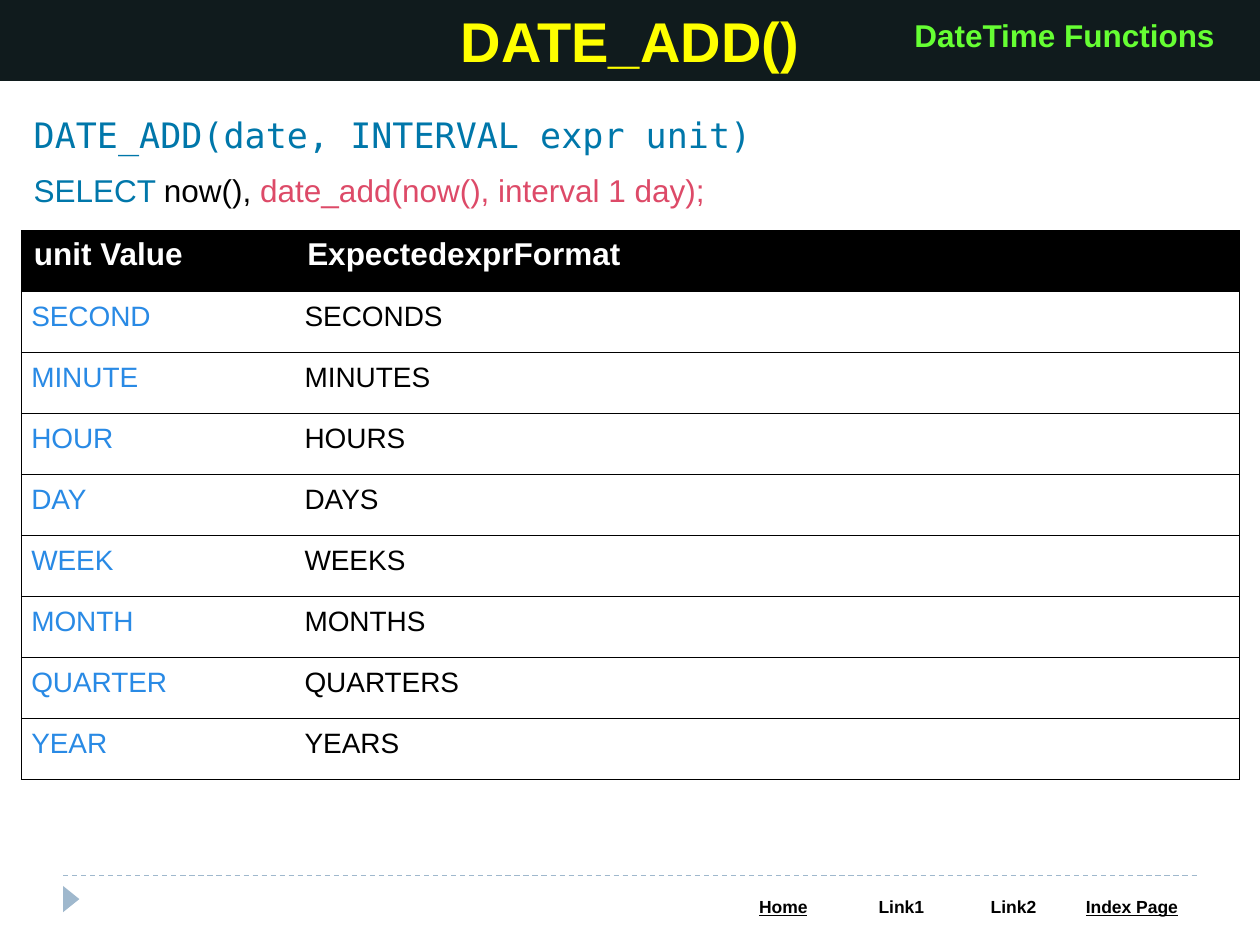
from lxml import etree
from pptx import Presentation
from pptx import util as u
from pptx.dml.color import RGBColor
from pptx.enum import dml, shapes, text
from pptx.oxml.ns import qn

BLACK = RGBColor(0x00, 0x00, 0x00)
WHITE = RGBColor(0xFF, 0xFF, 0xFF)
BANNER = RGBColor(0x10, 0x1B, 0x1D)
YELLOW = RGBColor(0xFF, 0xFF, 0x00)
GREEN = RGBColor(0x66, 0xFF, 0x33)
KEYWORD = RGBColor(0x00, 0x77, 0xAA)
CALL = RGBColor(0xDD, 0x4A, 0x68)
UNIT = RGBColor(0x29, 0x8A, 0xE5)
STEEL = RGBColor(0x9F, 0xB8, 0xCD)

# Content
TITLE = "DATE_ADD()"
TOPIC = "DateTime Functions"
SYNTAX = "DATE_ADD(date, INTERVAL expr unit)"
EXAMPLE = [  # text, size, colour
    ("SELECT", 18, KEYWORD),
    (" ", 16, BLACK),
    ("now(),", 18, BLACK),
    (" date_add(now(), interval 1 day);", 18, CALL),
]
UNIT_HEADER = ("unit Value", "ExpectedexprFormat")
UNITS = ["SECOND", "MINUTE", "HOUR", "DAY", "WEEK", "MONTH", "QUARTER", "YEAR"]
LINKS = [("Home", True), ("Link1", False), ("Link2", False), ("Index Page", True)]

# Layout in centimetres
PAGE_W, PAGE_H = 25.4, 19.05
LEFT, BODY_W = 0.43, 24.56
UNIT_COLS, UNIT_ROW = (5.51, 19.05), 1.23
LINK_COLS, LINK_ROW = (2.38, 2.38, 2.14, 2.63), 0.69


def add_run(paragraph, words, size, colour, bold=False, font="Arial", underline=False):
    run = paragraph.add_run()
    run.text = words
    run.font.name = font
    run.font.size = u.Pt(size)
    run.font.bold = bold
    run.font.underline = underline
    run.font.color.rgb = colour


def add_label(slide, left, top, width, height, wrap=True):
    frame = slide.shapes.add_textbox(
        u.Cm(left), u.Cm(top), u.Cm(width), u.Cm(height)).text_frame
    frame.word_wrap = wrap
    frame.auto_size = text.MSO_AUTO_SIZE.SHAPE_TO_FIT_TEXT
    return frame.paragraphs[0]


def fill_shape(shape, colour):
    shape.shadow.inherit = False
    shape.fill.solid()
    shape.fill.fore_color.rgb = colour
    shape.line.fill.background()


def add_grid(slide, left, top, col_widths, row_height, row_count):
    grid = slide.shapes.add_table(
        row_count, len(col_widths), u.Cm(left), u.Cm(top),
        u.Cm(sum(col_widths)), u.Cm(row_height * row_count)).table
    grid.horz_banding = False
    for column, width in zip(grid.columns, col_widths):
        column.width = u.Cm(width)
    for row in grid.rows:
        row.height = u.Cm(row_height)
    return grid


def paint_cell(cell, colour, sides=""):
    """Fill the cell and rule the sides named by L, R, T, B; clear the others."""
    cell.fill.solid()
    cell.fill.fore_color.rgb = colour
    properties = cell._tc.get_or_add_tcPr()
    for index, side in enumerate("LRTB"):
        border = etree.Element(qn("a:ln" + side), w=str(u.Pt(0.75)))
        if side in sides:
            paint = etree.SubElement(border, qn("a:solidFill"))
            etree.SubElement(paint, qn("a:srgbClr"), val=str(BLACK))
        else:
            etree.SubElement(border, qn("a:noFill"))
        properties.insert(index, border)


def add_footer(slide):
    # Dashed rule and marker
    rule = slide.shapes.add_connector(
        shapes.MSO_CONNECTOR.STRAIGHT, u.Cm(1.27), u.Cm(17.65), u.Cm(24.13), u.Cm(17.65))
    rule.line.color.rgb = STEEL
    rule.line.width = u.Pt(0.75)
    rule.line.dash_style = dml.MSO_LINE.DASH
    etree.SubElement(rule._element.spPr, qn("a:effectLst"))
    marker = slide.shapes.add_shape(
        shapes.MSO_SHAPE.ISOSCELES_TRIANGLE, u.Cm(1.17), u.Cm(17.96), u.Cm(0.53), u.Cm(0.33))
    marker.rotation = 90
    fill_shape(marker, STEEL)

    # Navigation labels
    links = add_grid(slide, 14.6, 17.98, LINK_COLS, LINK_ROW, 1)
    for cell, (label, underlined) in zip(links.rows[0].cells, LINKS):
        paint_cell(cell, WHITE)
        paragraph = cell.text_frame.paragraphs[0]
        paragraph.alignment = text.PP_ALIGN.CENTER
        add_run(paragraph, label, 10, BLACK, bold=True, underline=underlined)


def add_heading(slide):
    banner = slide.shapes.add_shape(
        shapes.MSO_SHAPE.RECTANGLE, 0, 0, u.Cm(PAGE_W), u.Cm(1.63))
    fill_shape(banner, BANNER)
    banner.text_frame.word_wrap = True
    banner.text_frame.vertical_anchor = text.MSO_ANCHOR.MIDDLE
    title = banner.text_frame.paragraphs[0]
    title.alignment = text.PP_ALIGN.CENTER
    add_run(title, TITLE, 32, YELLOW, bold=True)

    topic = add_label(slide, 18.11, 0.2, 6.63, 1.02, wrap=False)
    topic.alignment = text.PP_ALIGN.RIGHT
    add_run(topic, TOPIC, 18, GREEN, bold=True)


def add_units(slide):
    units = add_grid(slide, LEFT, 4.65, UNIT_COLS, UNIT_ROW, len(UNITS) + 1)
    for cell, heading, outer in zip(units.rows[0].cells, UNIT_HEADER, "LR"):
        paint_cell(cell, BLACK, outer + "TB")
        add_run(cell.text_frame.paragraphs[0], heading, 18, WHITE, bold=True)
    for row, unit in enumerate(UNITS, start=1):
        entries = [(unit, UNIT, "L"), (unit + "S", BLACK, "R")]
        for cell, (word, colour, outer) in zip(units.rows[row].cells, entries):
            paint_cell(cell, WHITE, outer + "TB")
            cell.margin_left = cell.margin_right = u.Cm(0.2)
            cell.margin_top = cell.margin_bottom = u.Cm(0.2)
            add_run(cell.text_frame.paragraphs[0], word, 16, colour)


def main():
    deck = Presentation()
    deck.slide_width, deck.slide_height = u.Cm(PAGE_W), u.Cm(PAGE_H)
    slide = deck.slides.add_slide(deck.slide_layouts[6])

    add_footer(slide)
    add_heading(slide)

    # Syntax and example query
    syntax = add_label(slide, LEFT, 2.16, BODY_W, 1.12)
    add_run(syntax, SYNTAX, 20, KEYWORD, font="DejaVu Sans Mono")
    example = add_label(slide, LEFT, 3.33, BODY_W, 1.02)
    for words, size, colour in EXAMPLE:
        add_run(example, words, size, colour)

    add_units(slide)
    deck.save("out.pptx")


if __name__ == "__main__":
    main()
